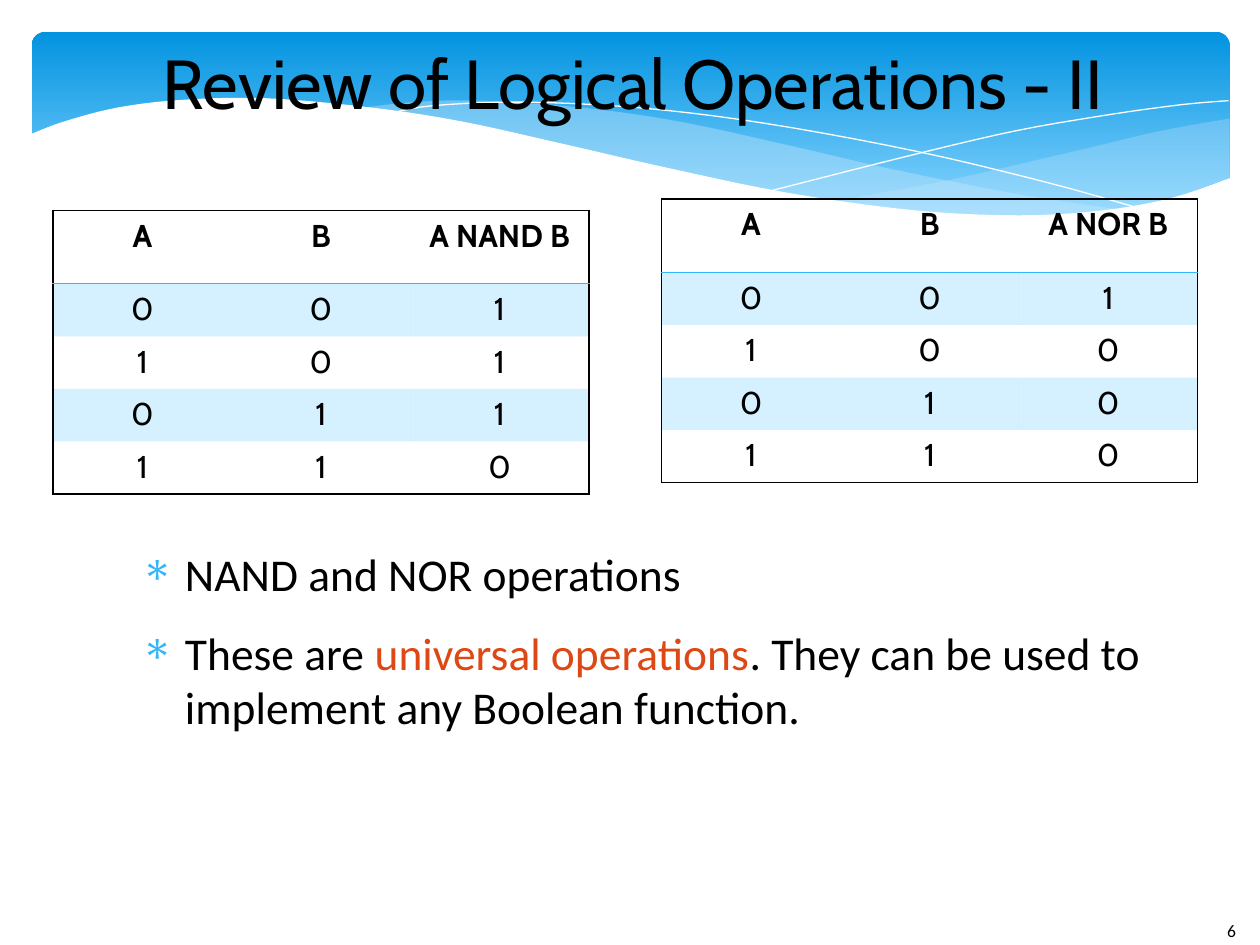
"""Build the slide reviewing the NAND and NOR logical operations."""
from dataclasses import dataclass

from lxml.etree import SubElement
from pptx import Presentation
from pptx.dml.color import RGBColor
from pptx.enum.shapes import MSO_SHAPE as Shp
from pptx.enum.text import MSO_ANCHOR as Anchor, PP_ALIGN as Align
from pptx.oxml.ns import qn
from pptx.util import Cm, Pt

COLORS = {
    "black": "000000", "white": "FFFFFF", "accent": "31B6FD", "highlight": "DD4814",
    "banner_top": "0293E0", "banner_bottom": "83D3FE", "wave": "C6E7FC",
}
COL_WIDTH, HEADER_HEIGHT, ROW_HEIGHT = 3.6, 1.48, 1.06
INPUTS = [(0, 0), (1, 0), (0, 1), (1, 1)]
Edge = list[tuple[float, float]]


@dataclass
class Wave:
    """A closed ribbon or an open line, given by the knots of its smooth edges in cm."""
    edges: list[Edge]
    fill: str = ""
    alpha: int = 100


@dataclass
class TruthTable:
    """The truth table of one two-input operation."""
    left: float
    top: float
    name: str
    results: list[int]


WAVES = [
    Wave([[(24.79, 2.39), (23.39, 2.64), (21.87, 3), (19.13, 3.63), (16.79, 4.06)],
          [(16.79, 4.06), (18.26, 4.24), (19.84, 4.37), (21.21, 4.37), (22.38, 4.24),
           (23.57, 4.01), (24.79, 3.58)]], "wave", 29),
    Wave([[(22.68, 4.24), (20.5, 3.91), (17.93, 3.4), (15.98, 2.95), (13.74, 2.46),
           (11.81, 2.18), (9.65, 2.03), (8.33, 2.06), (7.26, 2.18)],
          [(7.26, 2.18), (9.19, 2.46), (11.4, 2.95), (14.38, 3.63), (16.51, 4.01),
           (18.34, 4.27), (20.22, 4.39), (21.54, 4.37), (22.68, 4.24)]], "wave", 40),
    Wave([[(7.85, 2.29), (8.74, 2.13), (10.57, 2.06), (12.95, 2.18), (15.44, 2.49),
           (18.47, 3.05), (21.11, 3.68), (23.04, 4.22)]]),
    Wave([[(15.57, 3.84), (18.29, 3.15), (20.47, 2.64), (22.38, 2.31), (23.83, 2.11),
           (24.77, 2.03)]]),
    Wave([[(24.82, 3.58), (23.62, 3.99), (22.23, 4.24), (20.55, 4.34), (18.44, 4.24),
           (15.9, 3.89), (13.44, 3.38), (11.35, 2.9), (9.27, 2.44), (7.42, 2.16),
           (5.36, 1.98), (3.71, 2.01), (2.41, 2.16), (1.32, 2.44), (0.58, 2.72)],
          [(0.58, 5.69), (24.82, 5.69)]], "white"),
]
TABLES = [
    TruthTable(13.34, 4.01, "A NOR B", [1, 0, 0, 0]),
    TruthTable(1.07, 4.24, "A NAND B", [1, 1, 1, 0]),
]
BULLETS = [
    [("NAND and NOR operations", "black")],
    [("These are ", "black"), ("universal operations", "highlight"),
     (". They can be used to implement any Boolean function.", "black")],
]


def rgb(name: str) -> RGBColor:
    """Return a named colour."""
    return RGBColor.from_string(COLORS[name])


def set_fill(fill, name: str, alpha: int = 100) -> None:
    """Fill with a named colour at an opacity in percent."""
    fill.solid()
    fill.fore_color.rgb = rgb(name)
    if alpha < 100:
        clr = fill._xPr.find(qn("a:solidFill"))[0]
        SubElement(clr, qn("a:alpha"), val=str(alpha * 1000))


def style_run(r, font: str, size: float, color: str = "black", bold: bool = False) -> None:
    """Set the font of a run."""
    r.font.name, r.font.size, r.font.bold = font, Pt(size), bold
    r.font.color.rgb = rgb(color)


def smooth(knots: Edge, steps: int = 5) -> Edge:
    """Return points on a Catmull-Rom curve through the knots."""
    padded = [knots[0], *knots, knots[-1]]
    points = [knots[0]]
    for a, b, c, d in zip(padded, padded[1:], padded[2:], padded[3:]):
        for t in (i / steps for i in range(1, steps + 1)):
            points.append(tuple(
                q + t / 2 * (r - p + t * (2 * p - 5 * q + 4 * r - s + t * (3 * (q - r) + s - p)))
                for p, q, r, s in zip(a, b, c, d)))
    return points


def draw_banner(s) -> None:
    """Draw the rounded gradient banner."""
    sp = s.shapes.add_shape(Shp.ROUNDED_RECTANGLE, Cm(0.64), Cm(0.64), Cm(24.15), Cm(3.96))
    sp.adjustments[0] = 0.07
    sp.shadow.inherit = False
    sp.line.fill.background()
    sp.fill.gradient()
    sp.fill.gradient_angle = 270
    stops = zip(sp.fill.gradient_stops, ("banner_top", "banner_bottom"), (0, 0.9))
    for stop, color, position in stops:
        stop.color.rgb, stop.position = rgb(color), position


def draw_wave(s, wave: Wave) -> None:
    """Draw a filled ribbon or a white hairline."""
    points = [(Cm(x), Cm(y)) for edge in wave.edges for x, y in smooth(edge)]
    builder = s.shapes.build_freeform(*points[0])
    builder.add_line_segments(points[1:], close=bool(wave.fill))
    sp = builder.convert_to_shape()
    sp.shadow.inherit = False
    if wave.fill:
        set_fill(sp.fill, wave.fill, wave.alpha)
        sp.line.fill.background()
    else:
        sp.fill.background()
        sp.line.color.rgb = rgb("white")
        sp.line.width = Pt(0)


def add_text(s, left: float, top: float, width: float, height: float, inset: float = 0):
    """Add a wrapping text box and return its frame."""
    tf = s.shapes.add_textbox(Cm(left), Cm(top), Cm(width), Cm(height)).text_frame
    tf.word_wrap = True
    tf.margin_left = tf.margin_right = Cm(inset)
    tf.margin_top = tf.margin_bottom = Cm(inset / 2)
    return tf


def set_border(cell, side: str, color: str = "") -> None:
    """Set one cell border, or clear it when no colour is given."""
    ln = SubElement(cell._tc.get_or_add_tcPr(), qn(f"a:ln{side}"), w=str(Pt(1)))
    if color:
        SubElement(SubElement(ln, qn("a:solidFill")), qn("a:srgbClr"), val=COLORS[color])
    else:
        SubElement(ln, qn("a:noFill"))


def draw_table(s, table: TruthTable) -> None:
    """Draw a framed truth table with a ruled header and banded rows."""
    rows = [("A", "B", table.name)] + [(*i, q) for i, q in zip(INPUTS, table.results)]
    last_row, last_col = len(rows) - 1, len(rows[0]) - 1
    tbl = s.shapes.add_table(
        len(rows), len(rows[0]), Cm(table.left), Cm(table.top), Cm(COL_WIDTH * len(rows[0])),
        Cm(HEADER_HEIGHT + ROW_HEIGHT * last_row)).table
    for col in tbl.columns:
        col.width = Cm(COL_WIDTH)
    for i, values in enumerate(rows):
        tbl.rows[i].height = Cm(ROW_HEIGHT if i else HEADER_HEIGHT)
        for j, value in enumerate(values):
            cell = tbl.cell(i, j)
            set_border(cell, "L", "" if j else "black")
            set_border(cell, "R", "black" if j == last_col else "")
            set_border(cell, "T", {0: "black", 1: "accent"}.get(i, ""))
            set_border(cell, "B", {0: "accent", last_row: "black"}.get(i, ""))
            if i % 2:
                set_fill(cell.fill, "accent", 20)
            else:
                cell.fill.background()
            p = cell.text_frame.paragraphs[0]
            p.text = str(value)
            p.alignment = Align.CENTER
            style_run(p.runs[0], "Cabin", 18, bold=i == 0)


def draw_bullets(s) -> None:
    """Draw the bulleted statements."""
    tf = add_text(s, 2.54, 11, 20.6, 5.13)
    for i, parts in enumerate(BULLETS):
        p = tf.add_paragraph() if i else tf.paragraphs[0]
        p.space_after = Pt(14.1)
        pPr = p._p.get_or_add_pPr()
        pPr.set("marL", str(Cm(1.19)))
        pPr.set("indent", str(Cm(-0.89)))
        SubElement(SubElement(pPr, qn("a:buClr")), qn("a:srgbClr"), val=COLORS["accent"])
        SubElement(pPr, qn("a:buChar"), char="∗")
        for text, color in parts:
            r = p.add_run()
            r.text = text
            style_run(r, "Calibri", 26, color)


def main() -> None:
    """Build and save the slide."""
    prs = Presentation()
    prs.slide_width, prs.slide_height = Cm(25.4), Cm(19.05)
    s = prs.slides.add_slide(prs.slide_layouts[6])
    draw_banner(s)
    for wave in WAVES:
        draw_wave(s, wave)
    tf = add_text(s, 2.46, 0.36, 20.6, 2.59)
    tf.text = "Review of Logical Operations - II"
    tf.vertical_anchor = Anchor.MIDDLE
    tf.paragraphs[0].alignment = Align.CENTER
    style_run(tf.paragraphs[0].runs[0], "Cabin", 39.6)
    draw_bullets(s)
    tf = add_text(s, 24.49, 18.42, 1.55, 1.02, 0.25)
    tf.text = "6"
    style_run(tf.paragraphs[0].runs[0], "Calibri", 10)
    for table in TABLES:
        draw_table(s, table)
    prs.save("out.pptx")


if __name__ == "__main__":
    main()
